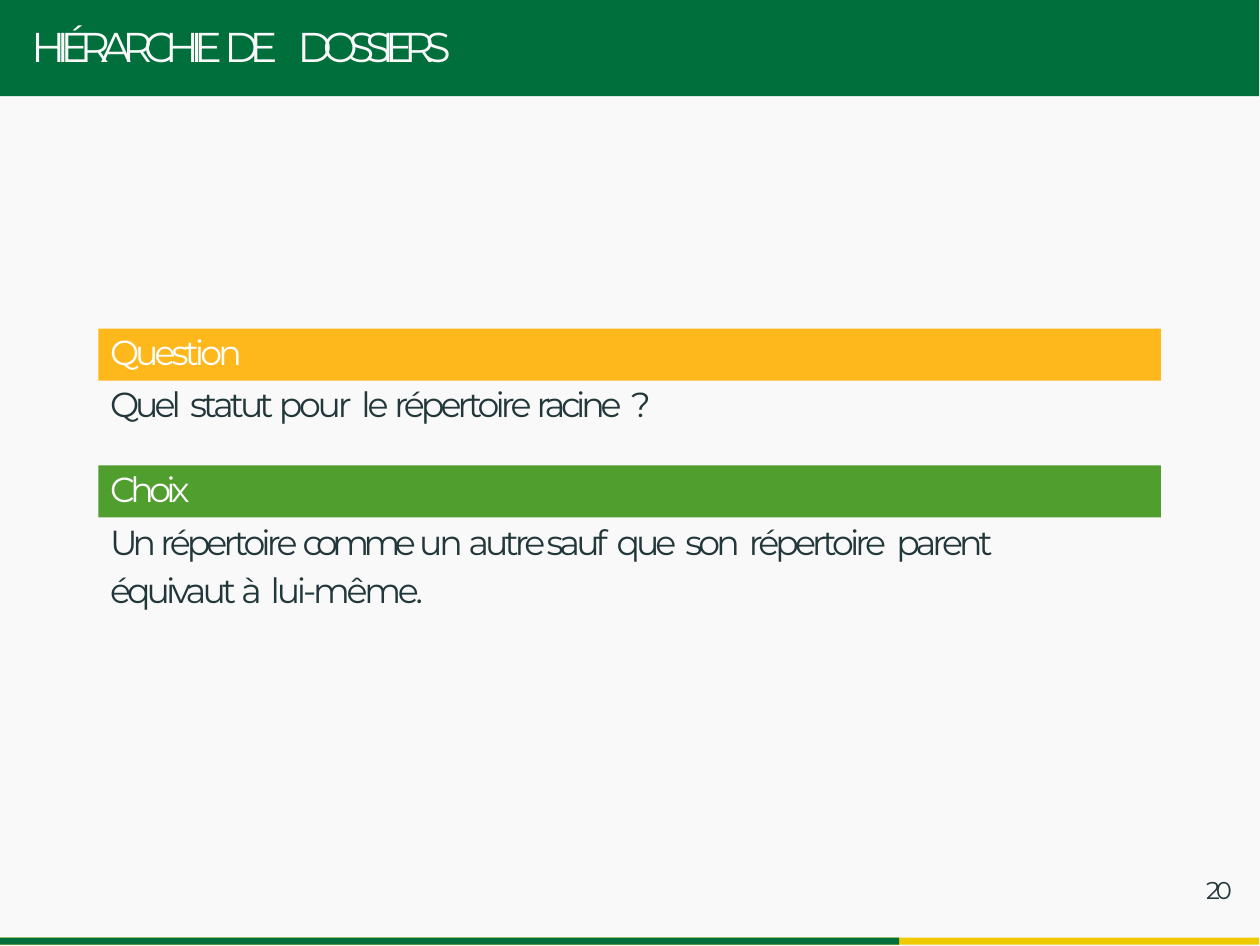
from pptx import Presentation
from pptx.dml.color import RGBColor
from pptx.enum import shapes, text
from pptx.util import Cm, Pt

PAPER = RGBColor(0xF9, 0xF9, 0xF9)
WHITE = RGBColor(0xFF, 0xFF, 0xFF)
INK = RGBColor(0x22, 0x37, 0x3A)
DARK_GREEN = RGBColor(0x00, 0x6F, 0x3B)
GREEN = RGBColor(0x50, 0x9E, 0x2E)
ORANGE = RGBColor(0xFF, 0xB8, 0x1C)
YELLOW = RGBColor(0xEF, 0xCA, 0x00)


def add_bar(left, top, width, height, color):
    bar = slide.shapes.add_shape(
        shapes.MSO_SHAPE.RECTANGLE, Cm(left), Cm(top), Cm(width), Cm(height))
    bar.shadow.inherit = False
    bar.fill.solid()
    bar.fill.fore_color.rgb = color
    bar.line.fill.background()
    return bar


def write(shape, runs, size, color, indent=0.02, inset=0.03):
    frame = shape.text_frame
    frame.word_wrap = True
    frame.auto_size = text.MSO_AUTO_SIZE.NONE
    frame.vertical_anchor = text.MSO_ANCHOR.TOP
    frame.margin_left, frame.margin_top = Cm(indent), Cm(inset)
    frame.margin_right = frame.margin_bottom = 0
    paragraph = frame.paragraphs[0]
    paragraph.alignment = text.PP_ALIGN.LEFT
    paragraph.font.name = "Montserrat"
    paragraph.font.size = Pt(size)
    paragraph.font.color.rgb = color
    for words, spacing in runs:
        run = paragraph.add_run()
        run.text = words
        run._r.get_or_add_rPr().set("spc", str(round(spacing * 100)))
    return paragraph


presentation = Presentation()
presentation.slide_width, presentation.slide_height = Pt(363), Pt(272.5)
slide = presentation.slides.add_slide(presentation.slide_layouts[5])
slide.background.fill.solid()
slide.background.fill.fore_color.rgb = PAPER

add_bar(0, 0, 12.8, 0.98, DARK_GREEN)
add_bar(0, 9.53, 12.8, 0.07, YELLOW)
add_bar(0, 9.53, 9.14, 0.07, DARK_GREEN)

title = slide.shapes.title
slide.shapes._spTree.append(title._element)
title.left, title.top, title.width, title.height = Cm(0.3), Cm(0.18), Cm(4.52), Cm(0.58)
write(title, [("HIÉRARCHIE ", -2.5), ("DE", -2.6), (" ", 2.6), ("DOSSIERS", -2.6)],
      12, PAPER)

question = [("Quel", -1.1), (" ", 0), ("statut ", -1.1), ("pour", -0.9), (" ", 0.2),
            ("le ", -0.9), ("répertoire ", -1.1), ("racine", -1.2), (" ", 0.2), ("?", -1.7)]
choice = [("Un ", -1.4), ("répertoire ", -1.1), ("comme ", -1.6), ("un ", -0.9),
          ("autre sauf", -1.1), (" ", 0), ("que", -1.1), (" ", 0), ("son", -1.1), (" ", 0),
          ("répertoire", -1.1), (" ", 0.4), ("parent équivaut ", -1.1),
          ("à", -1.4), (" ", 0), ("lui-même.", -0.9)]
blocks = [
    ("Question", -1.1, ORANGE, 3.34, question, 3.86, 5.97, 0.48, 1),
    ("Choix", -1.3, GREEN, 4.73, choice, 5.2, 9.73, 1.04, 1.15),
]
for heading, spacing, color, bar_top, body, body_top, width, height, line_spacing in blocks:
    bar = add_bar(1, bar_top, 10.8, 0.53, color)
    write(bar, [(heading, spacing)], 10, WHITE, indent=0.12, inset=0.02)
    body_box = slide.shapes.add_textbox(Cm(1.1), Cm(body_top), Cm(width), Cm(height))
    write(body_box, body, 10, INK).line_spacing = line_spacing

page_number = slide.shapes.add_textbox(Cm(12.19), Cm(8.84), Cm(0.46), Cm(0.43))
write(page_number, [("20", -1.1)], 7, INK, indent=0.07, inset=0.05)

presentation.save("out.pptx")
